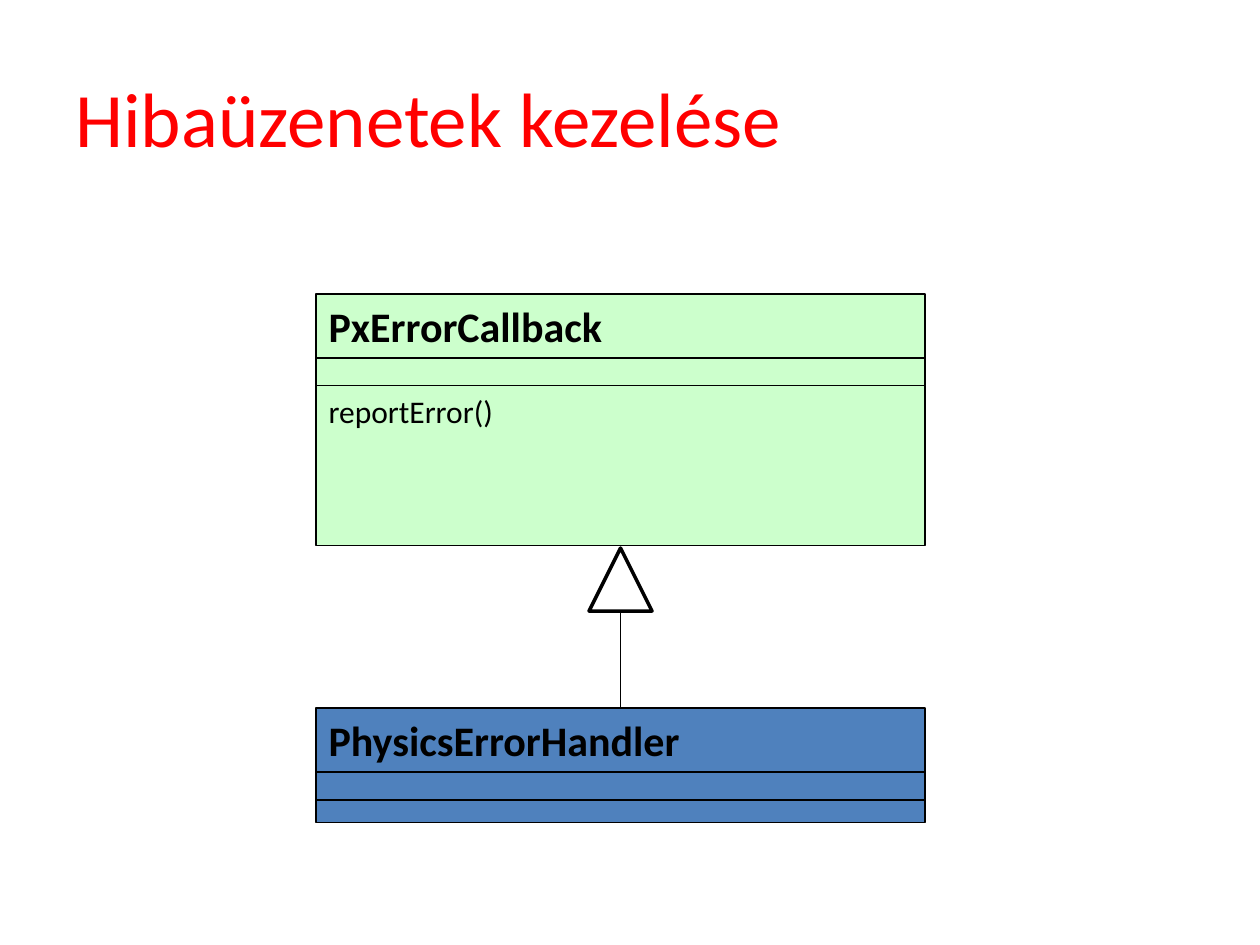
from dataclasses import dataclass

from lxml.etree import SubElement
from pptx import Presentation
from pptx.dml.color import RGBColor
from pptx.enum.shapes import MSO_CONNECTOR as Conn, MSO_SHAPE as Kind
from pptx.enum.text import MSO_ANCHOR as Anchor, PP_ALIGN as Align
from pptx.oxml.ns import qn
from pptx.util import Pt

BLACK = RGBColor(0, 0, 0)
WHITE = RGBColor(255, 255, 255)
RED = RGBColor(255, 0, 0)
GREEN = RGBColor(0xCC, 0xFF, 0xCC)
BLUE = RGBColor(0x4F, 0x81, 0xBD)

# Shared class box measures, in points
LEFT, WIDTH = 180.7, 347.8
HEAD, FIELDS = 36.7, 15.8
MID = LEFT + WIDTH / 2
TIP = 36

NAME = {"size": Pt(24), "bold": True}
METHOD = {"size": Pt(18), "bold": False}
TITLE = {"size": Pt(44), "bold": False}


@dataclass
class ClassBox:
    name: str
    top: float
    fill: RGBColor
    methods: str
    foot: float


PARENT = ClassBox("PxErrorCallback", 167.8, GREEN, "reportError()", 91.4)
CHILD = ClassBox("PhysicsErrorHandler", 404.6, BLUE, "", 13)


def write(shape, text: str, style: dict, anchor, color: RGBColor = BLACK) -> None:
    frame = shape.text_frame
    frame.word_wrap = True
    frame.vertical_anchor = anchor
    para = frame.paragraphs[0]
    para.alignment = Align.LEFT
    run = para.add_run()
    run.text = text
    for key, value in {"name": "Calibri", **style}.items():
        setattr(run.font, key, value)
    run.font.color.rgb = color


def draw_shape(slide, kind, box: tuple, fill: RGBColor, line: float = 1):
    shape = slide.shapes.add_shape(kind, *map(Pt, box))
    shape.shadow.inherit = False
    shape.fill.solid()
    shape.fill.fore_color.rgb = fill
    shape.line.color.rgb = BLACK
    shape.line.width = Pt(line)
    return shape


def draw_class(slide, item: ClassBox):
    """Stack the name, field and method parts; return the name part."""
    top, parts = item.top, []
    for height in (HEAD, FIELDS, item.foot):
        box = (LEFT, top, WIDTH, height)
        parts.append(draw_shape(slide, Kind.RECTANGLE, box, item.fill))
        top += height
    write(parts[0], item.name, NAME, Anchor.MIDDLE)
    if item.methods:
        write(parts[2], item.methods, METHOD, Anchor.TOP)
    return parts[0]


def main() -> None:
    deck = Presentation()
    deck.slide_width, deck.slide_height = Pt(720), Pt(540)
    slide = deck.slides.add_slide(deck.slide_layouts[6])

    # Title
    title = slide.shapes.add_textbox(Pt(36), Pt(21.6), Pt(648), Pt(90))
    write(title, "Hibaüzenetek kezelése", TITLE, Anchor.MIDDLE, RED)

    # Classes
    child = draw_class(slide, CHILD)
    draw_class(slide, PARENT)

    # Inheritance arrow
    top = 313.2
    box = (MID - TIP / 2, top, TIP, TIP)
    draw_shape(slide, Kind.ISOSCELES_TRIANGLE, box, WHITE, 2)
    ends = (MID, CHILD.top, MID, top + TIP)
    stem = slide.shapes.add_connector(Conn.STRAIGHT, *map(Pt, ends))
    stem.begin_connect(child, 0)
    stem.line.color.rgb = BLACK
    stem.line.width = Pt(1)
    SubElement(stem._element.spPr, qn("a:effectLst"))

    deck.save("out.pptx")


if __name__ == "__main__":
    main()
